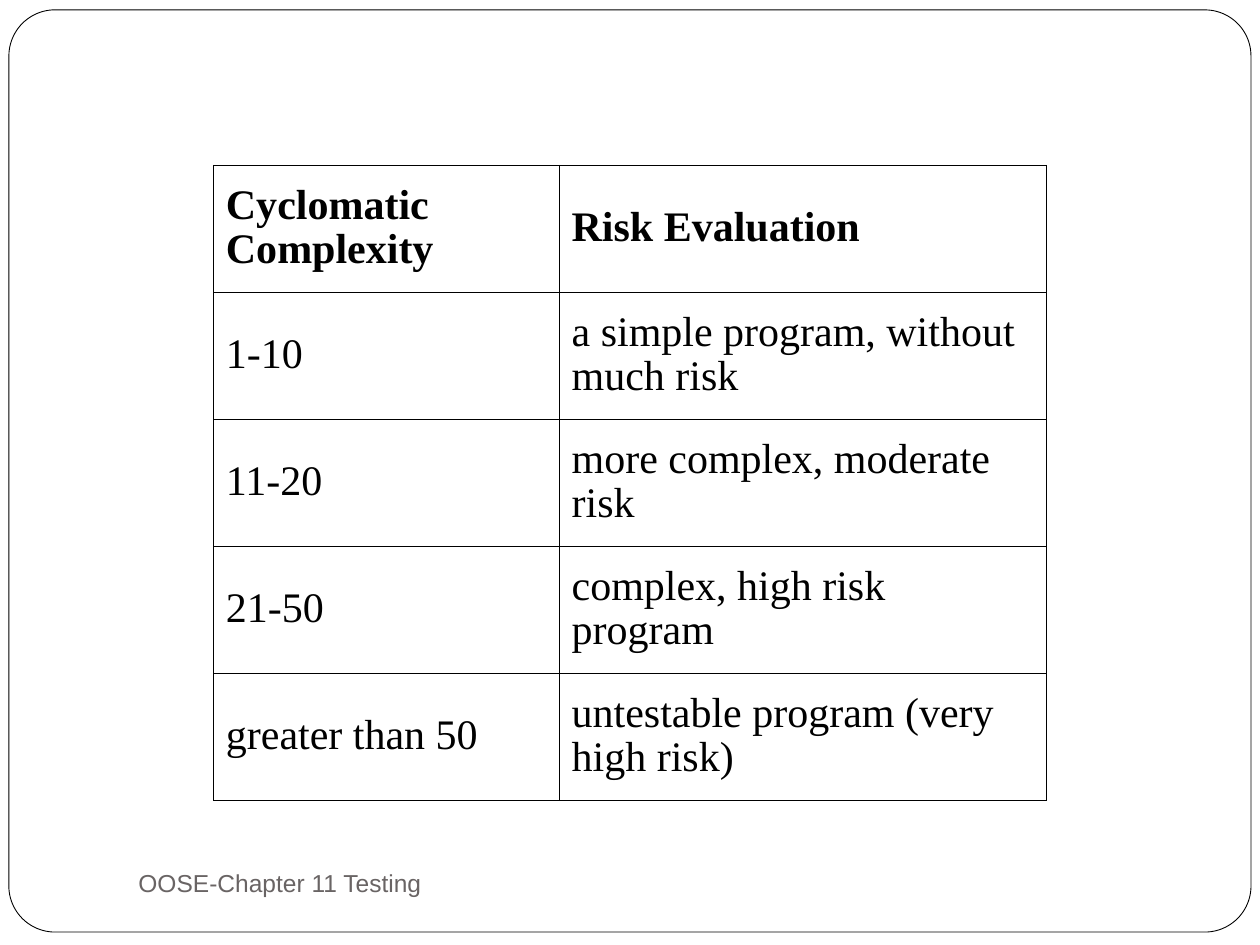
from lxml.etree import SubElement
from pptx import Presentation
from pptx.dml.color import RGBColor
from pptx.enum.shapes import MSO_SHAPE
from pptx.enum.text import MSO_ANCHOR, PP_ALIGN
from pptx.oxml.ns import qn
from pptx.util import Cm, Pt

# Content
ROWS = [
    ("Cyclomatic Complexity", "Risk Evaluation"),
    ("1-10", "a simple program, without much risk"),
    ("11-20", "more complex, moderate risk"),
    ("21-50", "complex, high risk program"),
    ("greater than 50", "untestable program (very high risk)"),
]
FOOTER = "OOSE-Chapter 11 Testing"

# Format, lengths in cm
COLORS = {"ink": "000000", "paper": "FFFFFF", "gray": "696464"}
WIDTHS = (6.97, 9.83)
HEIGHT = 2.56
LEFT, TOP = 4.3, 3.33


def color(name):
    return RGBColor.from_string(COLORS[name])


def write(frame, text, font="Times New Roman", size=24, bold=False,
          ink="ink", space=0.95):
    para = frame.paragraphs[0]
    para.alignment = PP_ALIGN.LEFT
    para.line_spacing = space
    run = para.add_run()
    run.text = text
    run.font.name = font
    run.font.size = Pt(size)
    run.font.bold = bold
    run.font.color.rgb = color(ink)


def border(cell, width=0.34):
    props = cell._tc.get_or_add_tcPr()
    for spot, side in enumerate(("lnL", "lnR", "lnT", "lnB")):
        line = SubElement(props, qn(f"a:{side}"), w=str(Pt(width)))
        fill = SubElement(line, qn("a:solidFill"))
        SubElement(fill, qn("a:srgbClr"), val=COLORS["ink"])
        props.insert(spot, line)


deck = Presentation()
deck.slide_width, deck.slide_height = Cm(25.4), Cm(19.05)
slide = deck.slides.add_slide(deck.slide_layouts[6])
shapes = slide.shapes

# Rounded frame
frame = shapes.add_shape(MSO_SHAPE.ROUNDED_RECTANGLE,
                         Cm(0.18), Cm(0.2), Cm(25.04), Cm(18.59))
frame.adjustments[0] = 0.05
frame.shadow.inherit = False
frame.fill.solid()
frame.fill.fore_color.rgb = color("paper")
frame.line.color.rgb = color("ink")
frame.line.width = Pt(0.5)

# Risk table
table = shapes.add_table(len(ROWS), len(WIDTHS), Cm(LEFT), Cm(TOP),
                         Cm(sum(WIDTHS)), Cm(HEIGHT * len(ROWS))).table
table.first_row = table.horz_banding = False
for col, width in zip(table.columns, WIDTHS):
    col.width = Cm(width)
for r, texts in enumerate(ROWS):
    table.rows[r].height = Cm(HEIGHT)
    for c, text in enumerate(texts):
        cell = table.cell(r, c)
        cell.vertical_anchor = MSO_ANCHOR.MIDDLE
        cell.fill.background()
        border(cell)
        write(cell.text_frame, text, bold=r == 0)

# Footer
box = shapes.add_textbox(Cm(2.54), Cm(17.15), Cm(11), Cm(1.27)).text_frame
box.word_wrap = True
box.vertical_anchor = MSO_ANCHOR.MIDDLE
write(box, FOOTER, font="Arial", size=14, ink="gray", space=1.0)

deck.save("out.pptx")
